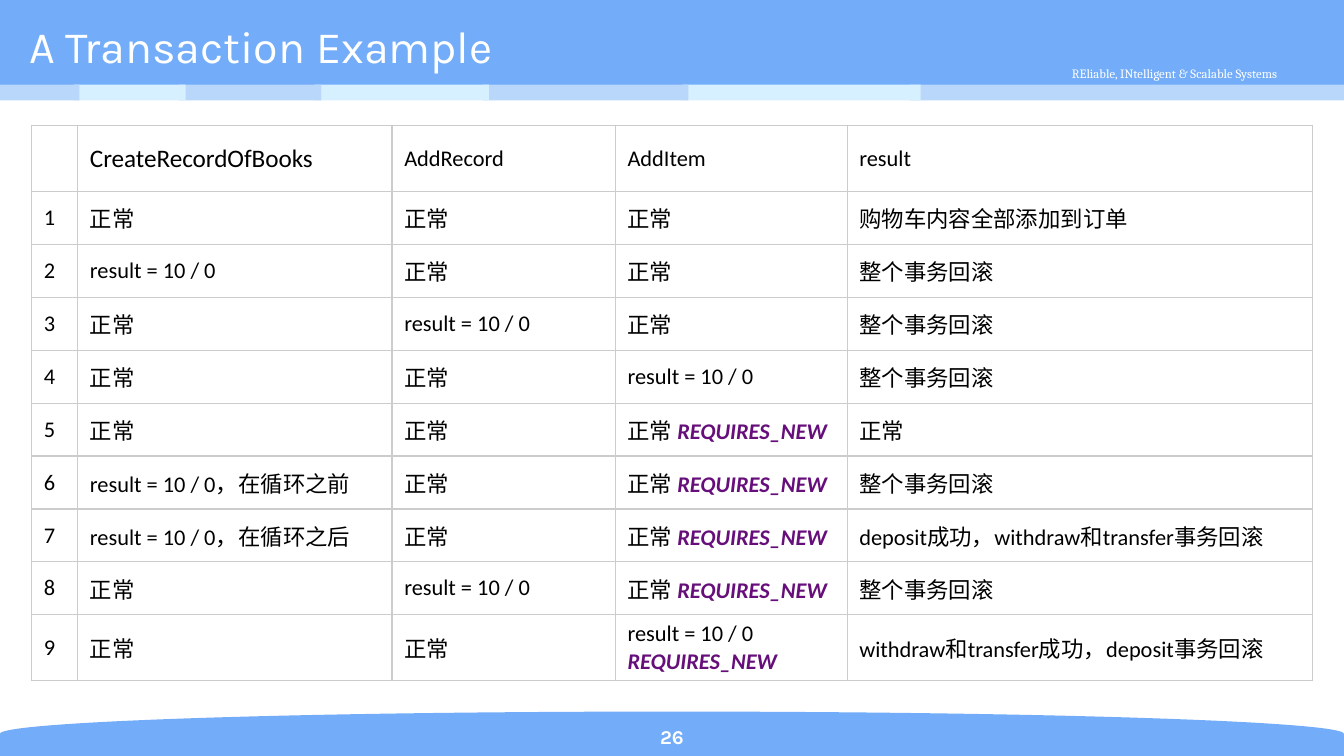
import pptx
import pptx.dml.color
import pptx.enum.shapes
import pptx.enum.text
import pptx.oxml
import pptx.oxml.ns
import pptx.util

Cm = pptx.util.Cm
Pt = pptx.util.Pt
RGBColor = pptx.dml.color.RGBColor
SHAPE = pptx.enum.shapes.MSO_SHAPE
ALIGN = pptx.enum.text.PP_ALIGN
MIDDLE = pptx.enum.text.MSO_ANCHOR.MIDDLE

BLUE = RGBColor(0x73, 0xAC, 0xF8)
PALE_BLUE = RGBColor(0xB9, 0xD6, 0xFB)
ICE = RGBColor(0xD6, 0xF0, 0xFF)
WHITE = RGBColor(0xFF, 0xFF, 0xFF)
BLACK = RGBColor(0, 0, 0)
PURPLE = RGBColor(0x66, 0x0E, 0x7A)
GRID = RGBColor(0xCC, 0xCC, 0xCC)

KEYWORD = "REQUIRES_NEW"
OK = "正常"
FAIL = "result = 10 / 0"
OK_NEW = f"{OK} {KEYWORD}"
ROLLBACK = "整个事务回滚"

HEADINGS = ["", "CreateRecordOfBooks", "AddRecord", "AddItem", "result"]
CASES = [
    (OK, OK, OK, "购物车内容全部添加到订单"),
    (FAIL, OK, OK, ROLLBACK),
    (OK, FAIL, OK, ROLLBACK),
    (OK, OK, FAIL, ROLLBACK),
    (OK, OK, OK_NEW, OK),
    (f"{FAIL}，在循环之前", OK, OK_NEW, ROLLBACK),
    (f"{FAIL}，在循环之后", OK, OK_NEW, "deposit成功，withdraw和transfer事务回滚"),
    (OK, FAIL, OK_NEW, ROLLBACK),
    (OK, OK, f"{FAIL}\n{KEYWORD}", "withdraw和transfer成功，deposit事务回滚"),
]
COLUMN_WIDTHS = [0.87, 5.94, 4.22, 4.38, 8.8]
ROW_HEIGHTS = [1.25] + [1] * 8 + [1.25]
STRIPES = [(17.2, 8.2), (12.9, 4.5), (9.12, 3.89), (5.94, 3.3),
           (3.38, 2.69), (1.4, 2.11), (0, 1.5)]


class PageBuilder:
    table_font = "Calibri"
    table_size = 12

    def __init__(self, page):
        self.page = page

    def shape(self, kind, left, top, width, height, color, rotation=0):
        shape = self.page.shapes.add_shape(kind, Cm(left), Cm(top), Cm(width), Cm(height))
        shape.shadow.inherit = False
        shape.fill.solid()
        shape.fill.fore_color.rgb = color
        shape.line.fill.background()
        shape.rotation = rotation

    def text(self, text, left, top, width, height, font, size, align=ALIGN.LEFT, bold=False):
        box = self.page.shapes.add_textbox(Cm(left), Cm(top), Cm(width), Cm(height))
        frame = box.text_frame
        frame.word_wrap = True
        frame.vertical_anchor = MIDDLE
        frame.text = text
        para = frame.paragraphs[0]
        para.alignment = align
        self.style(para.runs[0], font, size, WHITE, bold)

    def style(self, span, font, size, color, bold=False, italic=False):
        span.font.name = font
        span.font.size = Pt(size)
        span.font.color.rgb = color
        span.font.bold = bold
        span.font.italic = italic

    def table(self, rows, left, top, widths, heights):
        frame = self.page.shapes.add_table(len(rows), len(widths), Cm(left), Cm(top),
                                           Cm(sum(widths)), Cm(sum(heights)))
        table = frame.table
        table.first_row = False
        table.horz_banding = False
        for column, width in zip(table.columns, widths):
            column.width = Cm(width)
        for row, height, texts in zip(table.rows, heights, rows):
            row.height = Cm(height)
            for cell, text in zip(row.cells, texts):
                self.cell(cell, text)
        return table

    def cell(self, cell, text):
        cell.fill.background()
        cell.vertical_anchor = MIDDLE
        cell.margin_left = cell.margin_right = Cm(0.23)
        cell.margin_top = cell.margin_bottom = Cm(0.1)
        self.borders(cell)
        cell.text_frame.text = text
        for para in cell.text_frame.paragraphs:
            plain, keyword, _ = para.text.partition(KEYWORD)
            para.text = plain
            para.font.size = Pt(self.table_size)
            for span in para.runs:
                self.style(span, self.table_font, self.table_size, BLACK)
            if keyword:
                span = para.add_run()
                span.text = keyword
                self.style(span, self.table_font, self.table_size, PURPLE, True, True)

    def borders(self, cell):
        properties = cell._tc.get_or_add_tcPr()
        for index, side in enumerate(("lnL", "lnR", "lnT", "lnB")):
            properties.insert(index, pptx.oxml.parse_xml(
                f'<a:{side} {pptx.oxml.ns.nsdecls("a")} w="{Pt(0.75)}">'
                f'<a:solidFill><a:srgbClr val="{GRID}"/></a:solidFill></a:{side}>'))


def main():
    deck = pptx.Presentation()
    deck.slide_width = Cm(25.4)
    deck.slide_height = Cm(14.29)
    builder = PageBuilder(deck.slides.add_slide(deck.slide_layouts[6]))

    builder.shape(SHAPE.FLOWCHART_DELAY, 12.28, 1.17, 0.84, 25.4, BLUE, 270)
    builder.shape(SHAPE.RECTANGLE, 0, 0, 25.4, 1.65, BLUE)
    builder.text("REliable, INtelligent & Scalable Systems", 19.1, 1.12, 6.2, 0.53,
                 "Cambria", 6.8, ALIGN.CENTER)
    for index, (left, width) in enumerate(STRIPES):
        builder.shape(SHAPE.RECTANGLE, left, 1.6, width, 0.3, ICE if index % 2 else PALE_BLUE)

    builder.text("A Transaction Example", 0.3, 0.3, 18.95, 1.14, "Karla", 24)
    builder.text("26", 11.3, 13.59, 2.8, 0.66, "Karla", 10.5, ALIGN.CENTER, True)

    rows = [HEADINGS] + [(str(number), *case) for number, case in enumerate(CASES, 1)]
    table = builder.table(rows, 0.6, 2.37, COLUMN_WIDTHS, ROW_HEIGHTS)
    table.cell(0, 1).text_frame.paragraphs[0].runs[0].font.size = Pt(13.5)

    deck.save("out.pptx")


if __name__ == "__main__":
    main()
